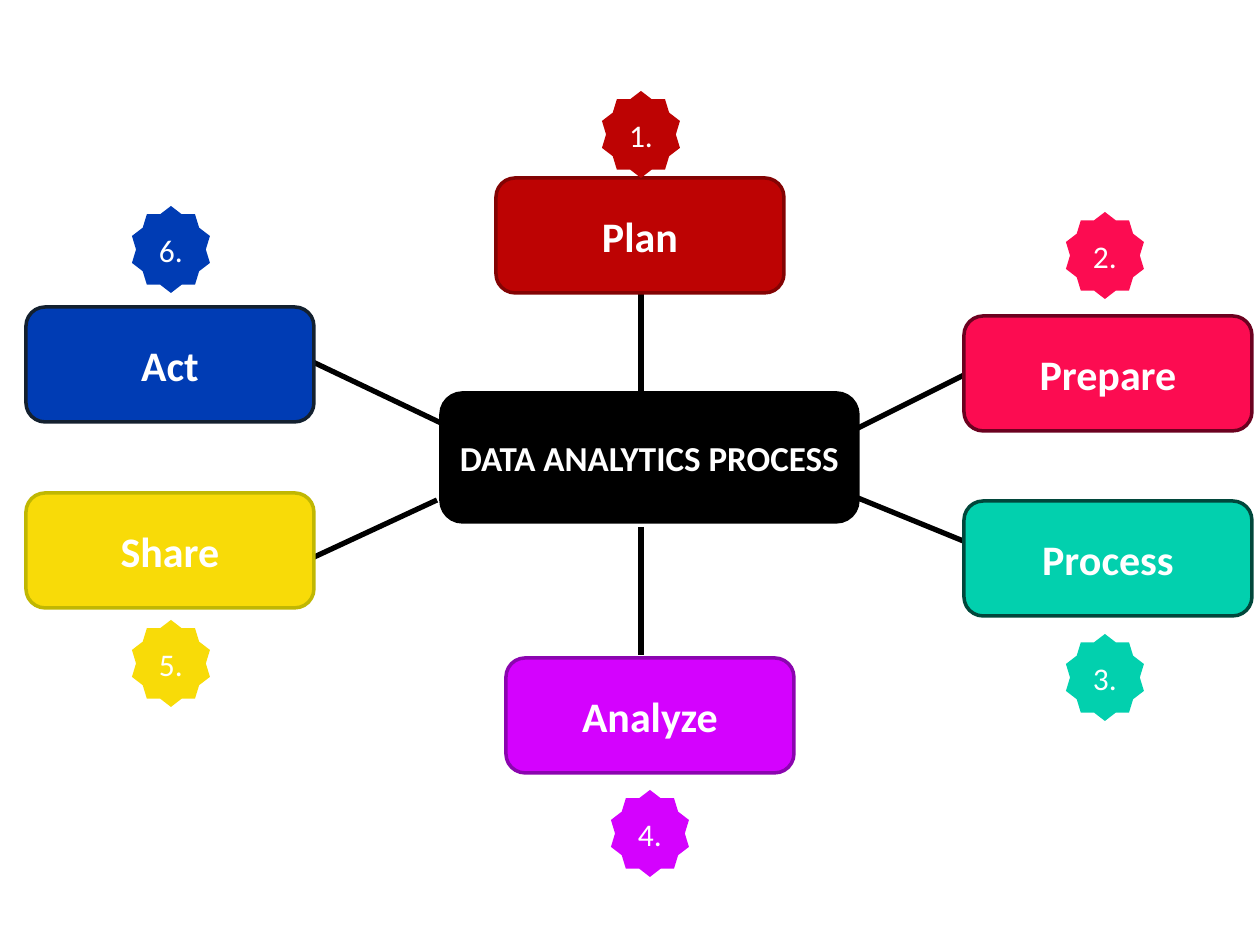
from pptx import Presentation
from pptx.dml.color import RGBColor
from pptx.enum.shapes import MSO_CONNECTOR, MSO_SHAPE
from pptx.enum.text import MSO_ANCHOR, PP_ALIGN
from pptx.util import Pt
from lxml import etree

ROUND = MSO_SHAPE.ROUNDED_RECTANGLE
STAR = MSO_SHAPE.STAR_10_POINT
LINE = MSO_CONNECTOR.STRAIGHT
MIDDLE = MSO_ANCHOR.MIDDLE
CENTER = PP_ALIGN.CENTER
SCALE = 914400 / 126
DRAW = "http://schemas.openxmlformats.org/drawingml/2006/main"


def px(size):
    return round(size * SCALE)


def paint(code):
    return RGBColor.from_string(code)


class Board:
    """Draws the parts of a mind map on one slide."""

    font = "Calibri"
    ink = "FFFFFF"
    dark = "000000"

    def __init__(self, slide):
        self.slide = slide

    def shape(self, kind, area, text, size, fill, edge=None, bold=False):
        item = self.slide.shapes.add_shape(kind, *map(px, area))
        item.shadow.inherit = False
        item.fill.solid()
        item.fill.fore_color.rgb = paint(fill)
        if edge:
            item.line.color.rgb = paint(edge)
            item.line.width = Pt(2)
        else:
            item.line.fill.background()
        frame = item.text_frame
        frame.word_wrap = True
        frame.vertical_anchor = MIDDLE
        para = frame.paragraphs[0]
        para.text = text
        para.alignment = CENTER
        para.font.name = self.font
        para.font.size = Pt(size)
        para.font.bold = bold
        para.font.color.rgb = paint(self.ink)

    def hub(self, area, text):
        self.shape(ROUND, area, text, 20, self.dark, self.dark, True)

    def step(self, left, top, text, fill, edge):
        self.shape(ROUND, (left, top, 288, 115), text, 24, fill, edge, True)

    def badge(self, left, top, text, fill):
        self.shape(STAR, (left, top, 78, 87), text, 18, fill)

    def spoke(self, *ends):
        link = self.slide.shapes.add_connector(LINE, *map(px, ends))
        link.line.color.rgb = paint(self.dark)
        link.line.width = Pt(3)
        etree.SubElement(link._element.spPr, f"{{{DRAW}}}effectLst")


SPOKES = [
    (441, 423, 273, 343),
    (978, 547, 858, 498),
    (978, 368, 858, 428),
    (437, 500, 282, 572),
    (641, 393, 641, 292),
    (641, 527, 641, 655),
]
STEPS = [
    ("Plan", (496, 178), (602, 91), "BD0303", "830303"),
    ("Prepare", (964, 316), (1066, 212), "FC0C51", "6B011F"),
    ("Process", (964, 501), (1066, 634), "02D0AE", "01473B"),
    ("Analyze", (506, 658), (611, 790), "D402FE", "8B05AF"),
    ("Share", (26, 493), (132, 620), "F8DB08", "C0B702"),
    ("Act", (26, 307), (132, 206), "003CB4", "13202F"),
]


def main():
    deck = Presentation()
    deck.slide_width = px(1260)
    deck.slide_height = px(945)
    board = Board(deck.slides.add_slide(deck.slide_layouts[6]))
    board.hub((441, 393, 417, 129), "DATA ANALYTICS PROCESS")
    for ends in SPOKES:
        board.spoke(*ends)
    for rank, (name, box, star, fill, edge) in enumerate(STEPS, 1):
        board.step(*box, name, fill, edge)
        board.badge(*star, f"{rank}.", fill)
    deck.save("out.pptx")


if __name__ == "__main__":
    main()
